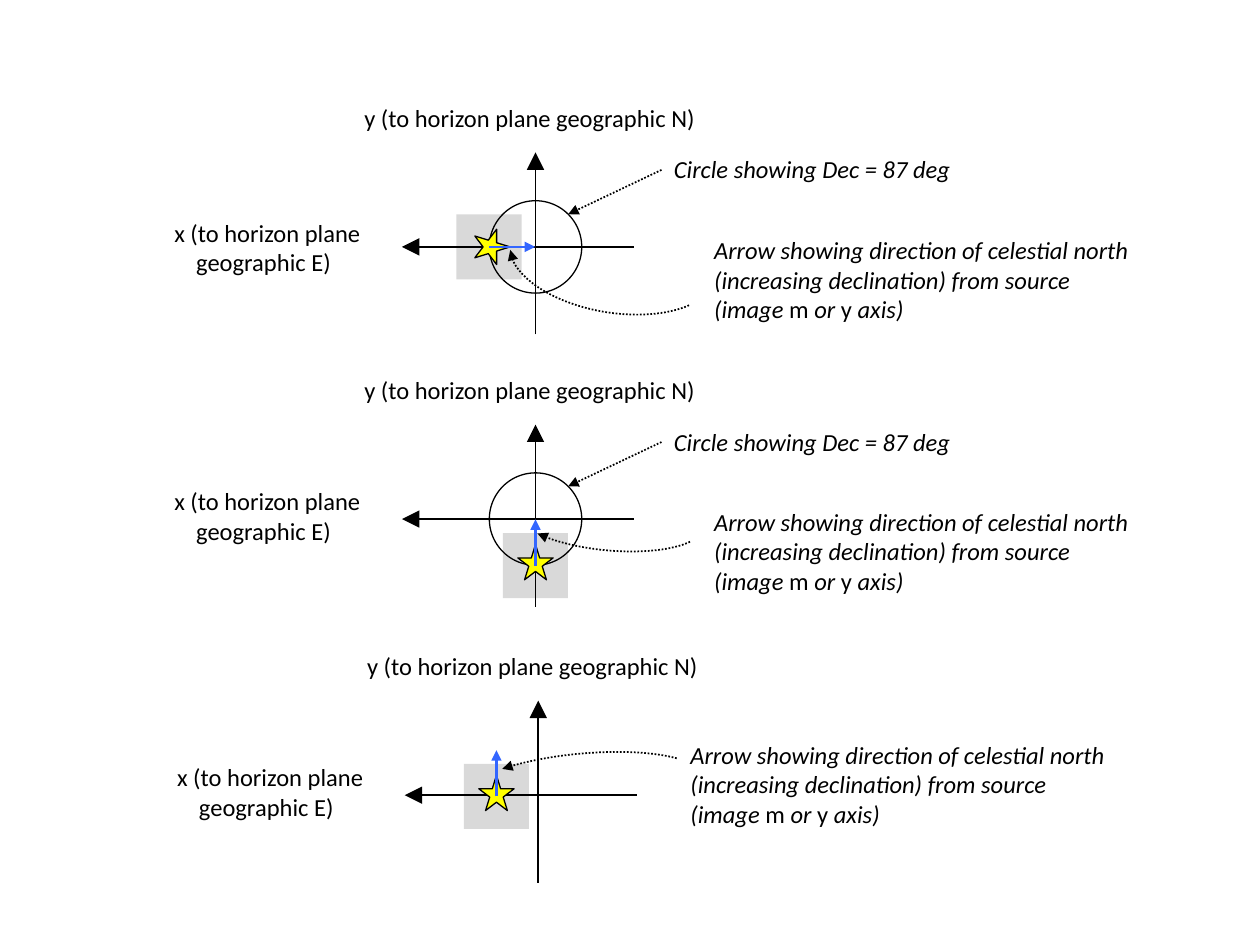
import pptx
import pptx.dml.color
import pptx.enum.dml
import pptx.enum.shapes
import pptx.enum.text
import pptx.oxml
import pptx.oxml.ns
import pptx.util

Pt = pptx.util.Pt
SHAPES = pptx.enum.shapes.MSO_SHAPE
BLACK, PATCH_GREY, STAR_YELLOW, NORTH_BLUE = "000000", "D9D9D9", "FFFF00", "3366FF"
NOTE = ["Arrow showing direction of celestial north (increasing declination) from source (image ",
        "m", " or ", "y", " axis)"]


def rgb(code):
    """Turn a hex string into a colour."""
    return pptx.dml.color.RGBColor.from_string(code)


def append_xml(parent, tag, **attributes):
    """Append an empty DrawingML element with attributes."""
    element = pptx.oxml.parse_xml(f"<a:{tag} {pptx.oxml.ns.nsdecls('a')}/>")
    for key, value in attributes.items():
        element.set(key, value)
    parent.append(element)


def style_line(item, color, width, dotted=False, head=None):
    """Set colour, width, dots and the arrowhead size of a line."""
    item.line.color.rgb = rgb(color)
    item.line.width = Pt(width)
    if dotted:
        item.line.dash_style = pptx.enum.dml.MSO_LINE.ROUND_DOT
    if head:
        append_xml(item.line._get_or_add_ln(), "tailEnd", type="triangle", w=head, len=head)


def add_arrow(slide, start, end, color=BLACK, width=1, dotted=False, head="med"):
    """Draw a straight arrow between two points."""
    arrow = slide.shapes.add_connector(
        pptx.enum.shapes.MSO_CONNECTOR.STRAIGHT, *(Pt(v) for v in (*start, *end)))
    style_line(arrow, color, width, dotted, head)
    append_xml(arrow._element.spPr, "effectLst")


def add_centred(slide, kind, centre, width, height, fill=None, turn=0):
    """Add a preset shape around its centre, without a line."""
    shape = slide.shapes.add_shape(
        kind, Pt(centre[0] - width / 2), Pt(centre[1] - height / 2), Pt(width), Pt(height))
    shape.shadow.inherit = False
    shape.rotation = turn
    if fill:
        shape.fill.solid()
        shape.fill.fore_color.rgb = rgb(fill)
    else:
        shape.fill.background()
    shape.line.fill.background()
    return shape


def add_label(slide, corner, size, parts, italic=False, centred=False, wrap=True, indent=0):
    """Add a label whose odd parts are upright and whose later lines are indented."""
    box = slide.shapes.add_textbox(*(Pt(v) for v in (*corner, *size)))
    frame = box.text_frame
    frame.word_wrap = wrap
    frame.auto_size = pptx.enum.text.MSO_AUTO_SIZE.SHAPE_TO_FIT_TEXT
    frame.text = parts[0]
    for part in parts[1:]:
        frame.paragraphs[-1].add_run().text = part
    for row, paragraph in enumerate(frame.paragraphs):
        if centred:
            paragraph.alignment = pptx.enum.text.PP_ALIGN.CENTER
        if row and indent:
            paragraph._p.get_or_add_pPr().set("marL", str(Pt(indent)))
        for index, run in enumerate(paragraph.runs):
            run.font.name = "Calibri"
            run.font.size = Pt(14)
            run.font.color.rgb = rgb(BLACK)
            run.font.italic = italic and index % 2 == 0


def add_axes(slide, x, y, label_rise):
    """Draw both axes through the origin with their labels."""
    add_label(slide, (x - 213.5, y - label_rise), (150.5, 41),
              ["x (to horizon plane\ngeographic E)"], indent=12.5)
    add_label(slide, (x - 125, y - 85.7), (243.4, 24.5),
              ["y (to horizon plane geographic N)"], centred=True)
    add_arrow(slide, (x + 56.2, y), (x - 76.3, y), head="lg")
    add_arrow(slide, (x, y + 50), (x, y - 54), head="lg")


def add_declination_circle(slide, x, y):
    """Draw the circle around the pole with its pointer and label."""
    circle = add_centred(slide, SHAPES.OVAL, (x, y), 52.8, 52.8)
    style_line(circle, BLACK, 0.75)
    add_label(slide, (x + 72, y - 56.4), (177, 24.5), ["Circle showing Dec = 87 deg"],
              italic=True, wrap=False)
    add_arrow(slide, (x + 72, y - 44), (x + 18.7, y - 18.7), dotted=True)


def add_source(slide, x, y, direction, turn):
    """Draw the star on its image patch with the arrow to celestial north."""
    dx, dy = direction
    add_centred(slide, SHAPES.RECTANGLE, (x, y), 37.2, 37.2, PATCH_GREY, turn).z_order = None
    return (x + 2 * dx, y + 2 * dy), (x + 26.4 * dx, y + 26.4 * dy)


def add_patch(slide, source, turn):
    """Draw the grey image patch around the source."""
    add_centred(slide, SHAPES.RECTANGLE, source, 37.2, 37.2, PATCH_GREY, turn)


def add_star(slide, source, direction, turn):
    """Draw the source star and its arrow to celestial north."""
    (x, y), (dx, dy) = source, direction
    star = add_centred(slide, SHAPES.STAR_5_POINT, (x + 2 * dx, y + 2 * dy),
                       20.2, 20.2, STAR_YELLOW, turn)
    style_line(star, BLACK, 0.75)
    add_arrow(slide, source, (x + 26.4 * dx, y + 26.4 * dy), NORTH_BLUE, 1.5)


def add_curve(slide, centre, size, turn, angles, flipped):
    """Draw the dotted curve from the note to the north arrow."""
    curve = add_centred(slide, SHAPES.ARC, centre, *size, turn=turn)
    curve.adjustments[0], curve.adjustments[1] = angles
    if flipped:
        curve._element.spPr.xfrm.set("flipV", "1")
    style_line(curve, BLACK, 1, dotted=True, head="med")


def add_panel(slide, origin, label_rise, source, direction, turn, note, curve, circle=True):
    """Draw one diagram, with every part placed relative to its origin."""
    x, y = origin
    star_place = (x + source[0], y + source[1])
    centre, size, curve_turn, angles, flipped = curve
    add_patch(slide, star_place, turn)
    add_axes(slide, x, y, label_rise)
    if circle:
        add_declination_circle(slide, x, y)
    add_star(slide, star_place, direction, turn)
    add_label(slide, (x + note[0], y + note[1]), (252.7, 58.3), NOTE, italic=True)
    add_curve(slide, (x + centre[0], y + centre[1]), size, curve_turn, angles, flipped)


def main():
    """Build the slide with three diagrams."""
    deck = pptx.Presentation()
    deck.slide_width, deck.slide_height = Pt(720), Pt(540)
    slide = deck.slides.add_slide(deck.slide_layouts[6])
    east, north, shallow = (1, 0), (0, -1), (114.53, 205.67)
    add_panel(slide, (306, 141.1), 20.2, (-26.6, 0), east, 90, (95, -10.3),
              ((44.3, 7.6), (118.8, 59.8), 189.5, (120.69, 213.73), False))
    add_panel(slide, (306, 296.6), 22.3, (0, 26.6), north, 0, (95, -10.6),
              ((42.1, -0.4), (108.7, 36.7), 185.3, shallow, False))
    add_panel(slide, (307.6, 454.4), 22.3, (-23.9, 0.7), north, 0, (79.8, -35.2),
              ((25.1, -5.4), (135.4, 36.7), 174.7, shallow, True), circle=False)
    deck.save("out.pptx")


if __name__ == "__main__":
    main()
